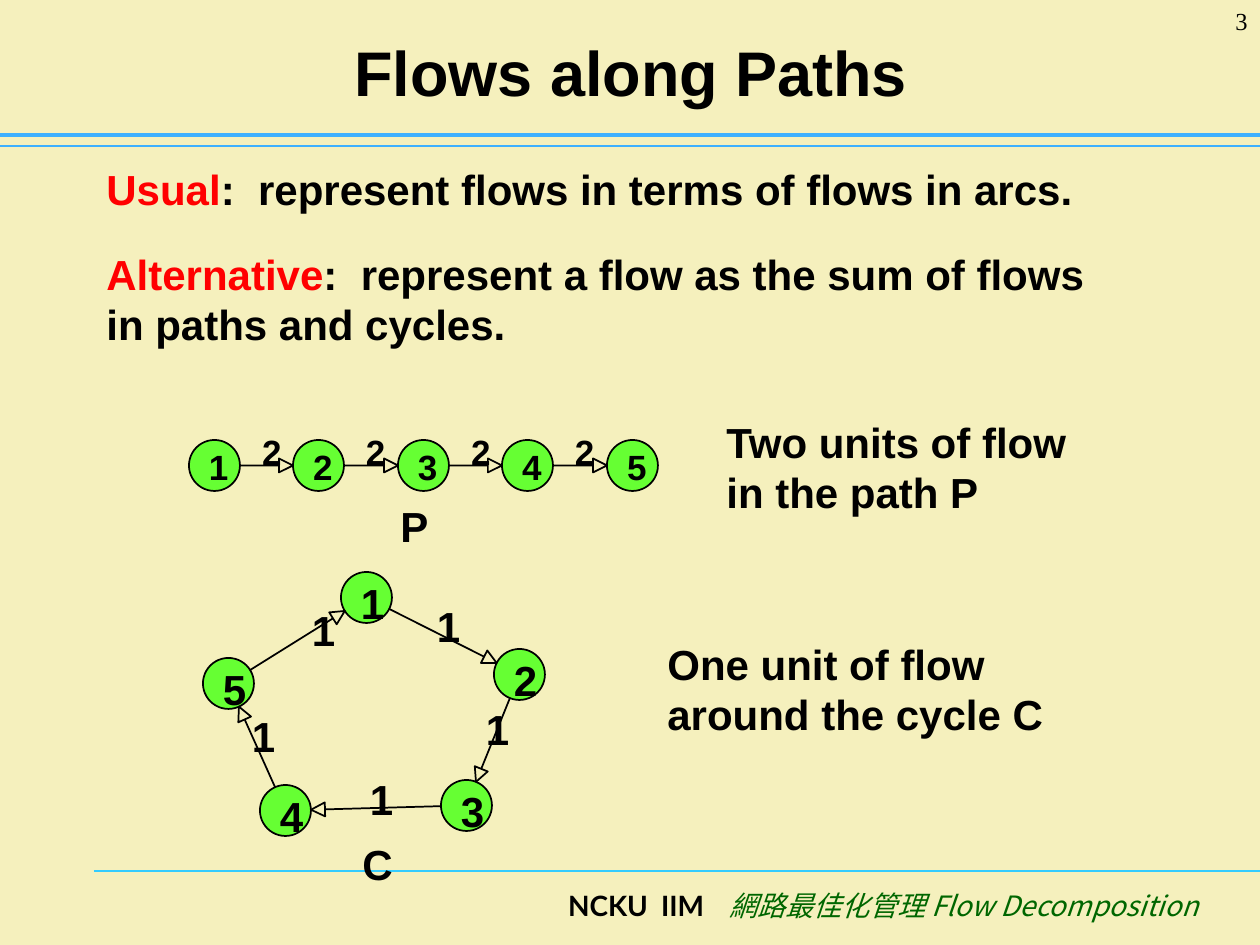
import dataclasses
import math

import lxml.etree
import pptx
import pptx.dml.color
import pptx.enum.shapes
import pptx.enum.text
import pptx.oxml.ns
import pptx.util

ALIGN = pptx.enum.text.PP_ALIGN
ANCHOR = pptx.enum.text.MSO_ANCHOR
EMU_PER_PX = 914400 / 126


@dataclasses.dataclass(frozen=True)
class Theme:
    background: str = "F5F0BD"
    ink: str = "000000"
    accent: str = "FF0000"
    node: str = "66FF33"
    header_rule: str = "3DB0FF"
    footer_rule: str = "33CCFF"
    course: str = "006600"
    font: str = "Arial"
    school_font: str = "Lato"
    course_font: str = "Noto Sans CJK SC"
    number_font: str = "Times New Roman"
    title_size: int = 36
    body_size: int = 24
    path_size: int = 20
    footer_size: int = 16
    number_size: int = 14


def px(length):
    return pptx.util.Emu(round(length * EMU_PER_PX))


def rgb(color):
    return pptx.dml.color.RGBColor.from_string(color)


def write(paragraph, text, *, size, color, font, bold=True, italic=False, spacing=0):
    run = paragraph.add_run()
    run.text = text
    run.font.size = pptx.util.Pt(size)
    run.font.name = font
    run.font.bold = bold
    run.font.italic = italic
    run.font.color.rgb = rgb(color)
    properties = run.font._element
    if spacing:
        properties.set("spc", str(spacing))
    east_asian = lxml.etree.SubElement(properties, pptx.oxml.ns.qn("a:ea"))
    east_asian.set("typeface", font)


class SlideBuilder:
    NODE = 51
    HEAD_LENGTH = 14
    HEAD_HALF_WIDTH = 7

    def __init__(self, presentation, theme):
        self.theme = theme
        self.slide = presentation.slides.add_slide(presentation.slide_layouts[6])
        self.slide.background.fill.solid()
        self.slide.background.fill.fore_color.rgb = rgb(theme.background)

    def rule(self, left, right, y, color, width):
        line = self.slide.shapes.add_connector(
            pptx.enum.shapes.MSO_CONNECTOR.STRAIGHT, px(left), px(y), px(right), px(y))
        line.line.color.rgb = rgb(color)
        line.line.width = pptx.util.Pt(width)
        lxml.etree.SubElement(line._element.spPr, pptx.oxml.ns.qn("a:effectLst"))

    def text(self, box, *pieces, align=ALIGN.LEFT, anchor=ANCHOR.TOP, tight=False, **style):
        frame = self.slide.shapes.add_textbox(*map(px, box)).text_frame
        frame.word_wrap = not tight
        frame.vertical_anchor = anchor
        if tight:
            frame.margin_left = frame.margin_right = 0
            frame.margin_top = frame.margin_bottom = 0
        paragraph = frame.paragraphs[0]
        paragraph.alignment = align
        base = {"size": self.theme.body_size, "color": self.theme.ink, "font": self.theme.font}
        for wording, changes in pieces:
            write(paragraph, wording, **{**base, **style, **changes})

    def digit(self, left, top, value, size):
        self.text((left, top, size, size * 2), (str(value), {}), tight=True, size=size)

    def outline(self, shape):
        shape.shadow.inherit = False
        shape.line.color.rgb = rgb(self.theme.ink)
        shape.line.width = pptx.util.Pt(1)

    def node(self, left, top, value, size):
        circle = self.slide.shapes.add_shape(
            pptx.enum.shapes.MSO_SHAPE.OVAL, px(left), px(top), px(self.NODE), px(self.NODE))
        circle.fill.solid()
        circle.fill.fore_color.rgb = rgb(self.theme.node)
        self.outline(circle)
        self.digit(left + 20, top + 6, value, size)

    def arc(self, source, target):
        radius = self.NODE / 2
        dx, dy = target[0] - source[0], target[1] - source[1]
        distance = math.hypot(dx, dy)
        ux, uy = dx / distance, dy / distance

        def point(along, across=0):
            return (px(source[0] + radius + ux * along - uy * across),
                    px(source[1] + radius + uy * along + ux * across))

        tip = distance - radius
        base = tip - self.HEAD_LENGTH
        half = self.HEAD_HALF_WIDTH
        start = point(radius)
        builder = self.slide.shapes.build_freeform(*start, scale=1.0)
        builder.add_line_segments(
            [point(base), point(base, half), point(tip), point(base, -half), point(base), start],
            close=True)
        arrow = builder.convert_to_shape()
        arrow.fill.background()
        self.outline(arrow)

    def flow(self, nodes, arcs, labels, units, size):
        for value, (left, top) in enumerate(nodes, 1):
            self.node(left, top, value, size)
        for (source, target), (left, top) in zip(arcs, labels):
            self.arc(source, target)
            self.digit(left, top, units, size)


def main():
    theme = Theme()
    presentation = pptx.Presentation()
    presentation.slide_width, presentation.slide_height = px(1260), px(945)
    page = SlideBuilder(presentation, theme)

    page.rule(94, 1260, 871, theme.footer_rule, 0.75)
    page.rule(0, 1260, 146, theme.header_rule, 0.75)
    page.rule(0, 1260, 135, theme.header_rule, 2.5)
    school = {"font": theme.school_font}
    page.text((231, 882, 980, 63),
              ("NCKU", school), (" ", {**school, "spacing": 360}),
              ("IIM", school), (" ", {**school, "spacing": 1085}),
              ("網路最佳化管理 Flow Decomposition",
               {"font": theme.course_font, "color": theme.course, "bold": False, "italic": True}),
              align=ALIGN.RIGHT, size=theme.footer_size)
    page.text((64, 16, 1134, 110), ("Flows along Paths", {}),
              align=ALIGN.CENTER, anchor=ANCHOR.MIDDLE, size=theme.title_size)

    statements = [
        (157, 63, "Usual", "represent flows in terms of flows in arcs."),
        (242, 113, "Alternative", "represent a flow as the sum of flows in paths and cycles."),
    ]
    for top, height, term, meaning in statements:
        page.text((94, top, 1050, height), (term, {"color": theme.accent}),
                  (":", {}), (" ", {"spacing": 667}), (meaning, {}))

    captions = [
        ((714, 410, 410, 113), "Two units of flow in the path P"),
        ((655, 632, 410, 113), "One unit of flow around the cycle C"),
        ((388, 494, 84, 63), "P"),
        ((350, 832, 84, 63), "C"),
    ]
    for box, caption in captions:
        page.text(box, (caption, {}))

    path_nodes = [(189 + 418 * step // 4, 440) for step in range(5)]
    path_labels = [(left + 73, 431) for left, top in path_nodes[:-1]]
    page.flow(path_nodes, zip(path_nodes, path_nodes[1:]), path_labels, 2, theme.path_size)

    cycle_nodes = [(341, 572), (494, 649), (441, 780), (260, 785), (203, 658)]
    cycle_labels = [(437, 601), (486, 704), (370, 774), (252, 711), (312, 605)]
    cycle_arcs = zip(cycle_nodes, cycle_nodes[1:] + cycle_nodes[:1])
    page.flow(cycle_nodes, cycle_arcs, cycle_labels, 1, theme.body_size)

    page.text((1155, 0, 105, 63), ("3", {}), align=ALIGN.RIGHT,
              size=theme.number_size, font=theme.number_font, bold=False)

    presentation.save("out.pptx")


if __name__ == "__main__":
    main()
